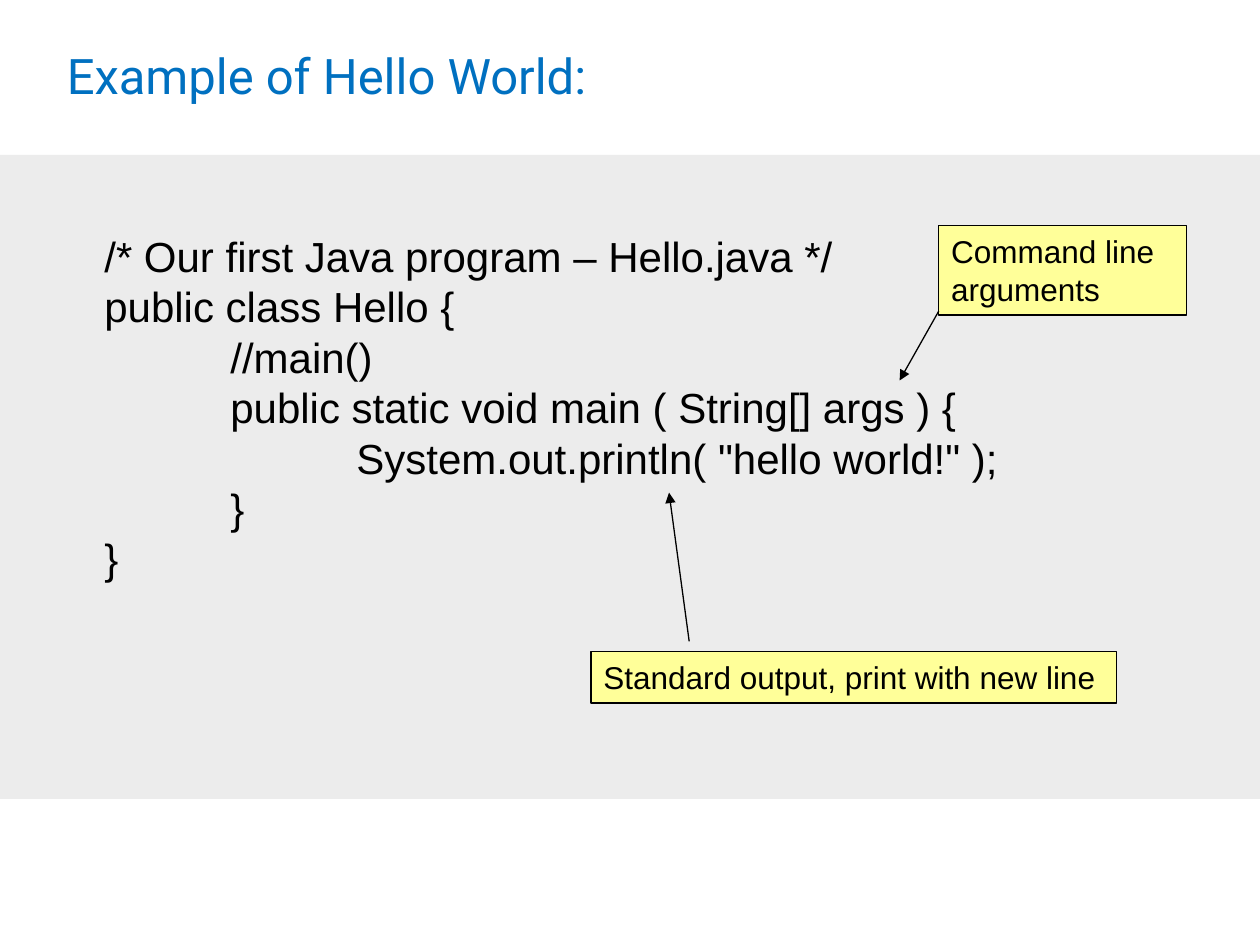
from dataclasses import dataclass

from lxml import etree
from pptx import Presentation
from pptx.dml.color import RGBColor
from pptx.enum.shapes import MSO_CONNECTOR, MSO_SHAPE
from pptx.enum.text import MSO_ANCHOR, PP_ALIGN
from pptx.oxml.ns import qn
from pptx.util import Inches, Pt

RECTANGLE = MSO_SHAPE.RECTANGLE
STRAIGHT = MSO_CONNECTOR.STRAIGHT
TOP = MSO_ANCHOR.TOP
LEFT = PP_ALIGN.LEFT
TITLE_ONLY_LAYOUT = 5
TAB_STOPS = (1, 2)


@dataclass(frozen=True)
class Theme:
    title_color: RGBColor = RGBColor(0x00, 0x70, 0xC0)
    ink: RGBColor = RGBColor(0x00, 0x00, 0x00)
    band: RGBColor = RGBColor(0xEC, 0xEC, 0xEC)
    note: RGBColor = RGBColor(0xFF, 0xFF, 0x99)
    title_font: str = "Roboto"
    body_font: str = "Arial"
    title_size: int = 28
    code_size: int = 24
    note_size: int = 18
    line_width: float = 0.75


THEME = Theme()

CODE_LINES = [
    "/* Our first Java program – Hello.java */",
    "public class Hello {",
    "\t//main()",
    "\tpublic static void main ( String[] args ) {",
    '\t\tSystem.out.println( "hello world!" );',
    "\t}",
    "}",
]

# Text, box (left, top, width, height), arrow start, arrow end
NOTES = [
    ("Command line arguments", (7.45, 1.79, 1.97, 0.71), (7.45, 2.47), (7.14, 3.02)),
    ("Standard output, print with new line", (4.69, 5.17, 4.17, 0.41),
     (5.47, 5.09), (5.31, 3.91)),
]


def apply(target, values):
    for name, value in values.items():
        setattr(target, name, value)


def inches(values):
    return [Inches(value) for value in values]


def write_lines(frame, lines, font, size, color):
    apply(frame, {"word_wrap": True, "vertical_anchor": TOP})
    for index, line in enumerate(lines):
        para = frame.paragraphs[0] if index == 0 else frame.add_paragraph()
        para.alignment = LEFT
        span = para.add_run()
        span.text = line
        apply(span.font, {"name": font, "size": Pt(size)})
        span.font.color.rgb = color


def add_title(page, text, bounds):
    title = page.shapes.title
    apply(title, dict(zip(("left", "top", "width", "height"), inches(bounds))))
    apply(title.text_frame, {"margin_top": 0, "margin_bottom": 0})
    write_lines(title.text_frame, [text], THEME.title_font, THEME.title_size,
                THEME.title_color)


def add_box(page, bounds, color):
    box = page.shapes.add_shape(RECTANGLE, *inches(bounds))
    box.shadow.inherit = False
    box.fill.solid()
    box.fill.fore_color.rgb = color
    box.line.fill.background()
    return box


def set_outline(line):
    line.color.rgb = THEME.ink
    line.width = Pt(THEME.line_width)


def set_tab_stops(para):
    tabs = etree.SubElement(para._p.get_or_add_pPr(), qn("a:tabLst"))
    for stop in inches(TAB_STOPS):
        etree.SubElement(tabs, qn("a:tab"), pos=str(stop), algn="l")


def add_code(page, lines, bounds):
    box = page.shapes.add_textbox(*inches(bounds))
    write_lines(box.text_frame, lines, THEME.body_font, THEME.code_size, THEME.ink)
    for para in box.text_frame.paragraphs:
        set_tab_stops(para)


def add_note(page, text, bounds):
    box = add_box(page, bounds, THEME.note)
    set_outline(box.line)
    write_lines(box.text_frame, [text], THEME.body_font, THEME.note_size, THEME.ink)


def add_arrow(page, start, end):
    arrow = page.shapes.add_connector(STRAIGHT, *inches(start + end))
    set_outline(arrow.line)
    properties = arrow.element.spPr
    outline = properties.find(qn("a:ln"))
    etree.SubElement(outline, qn("a:tailEnd"), type="triangle")
    etree.SubElement(properties, qn("a:effectLst"))


def main():
    deck = Presentation()
    apply(deck, {"slide_width": Inches(10), "slide_height": Inches(7.5)})
    page = deck.slides.add_slide(deck.slide_layouts[TITLE_ONLY_LAYOUT])
    add_title(page, "Example of Hello World:", (0.43, 0.36, 8.25, 0.71))
    add_box(page, (0, 1.23, 10, 5.11), THEME.band)
    add_code(page, CODE_LINES, (0.73, 1.78, 8.11, 2.9))
    for text, bounds, start, end in NOTES:
        add_note(page, text, bounds)
        add_arrow(page, start, end)
    deck.save("out.pptx")


if __name__ == "__main__":
    main()
